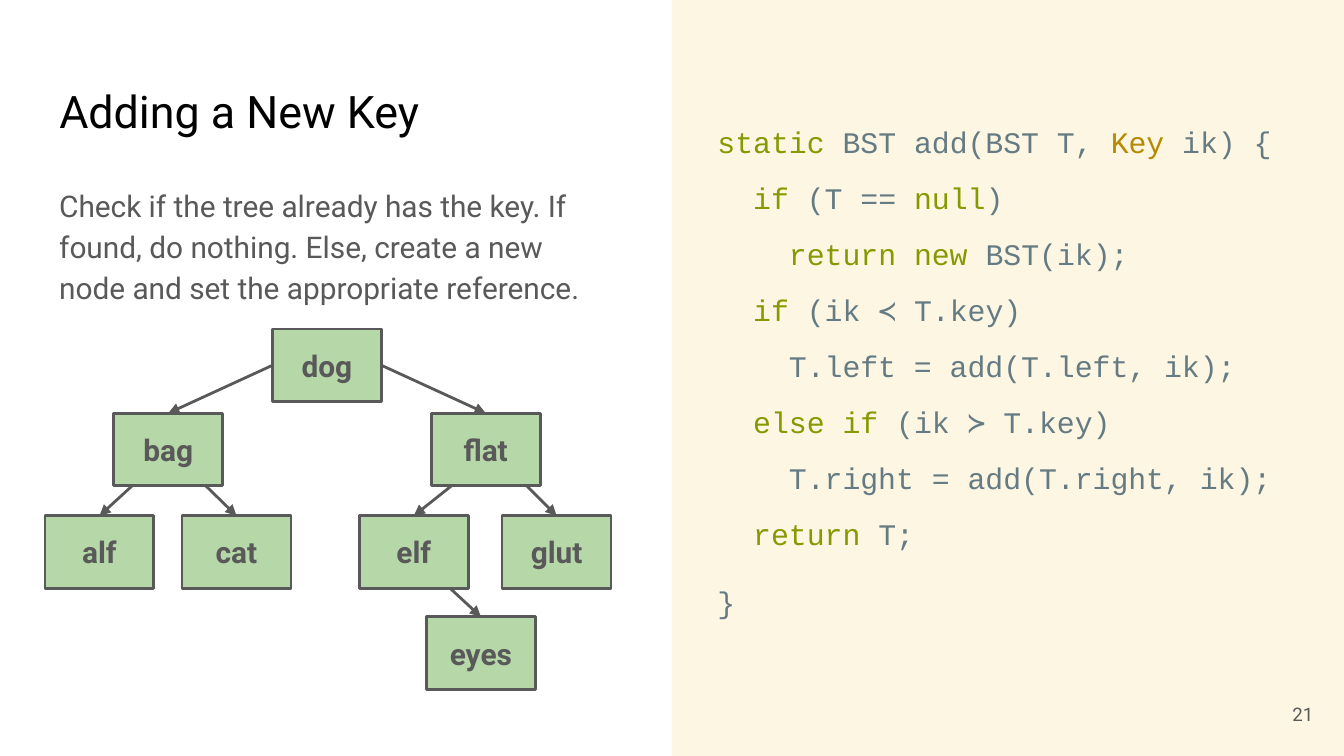
import collections
import dataclasses

import lxml.etree
import pptx
import pptx.dml.color
import pptx.enum.shapes
import pptx.enum.text
import pptx.oxml.ns
import pptx.util

Cm = pptx.util.Cm
Pt = pptx.util.Pt
Align = pptx.enum.text.PP_ALIGN
Anchor = pptx.enum.text.MSO_ANCHOR
Box = collections.namedtuple("Box", "left top width height")


@dataclasses.dataclass(frozen=True)
class Theme:
    sans: str = "Roboto"
    mono: str = "Courier New"
    title: str = "000000"
    text: str = "595959"
    node: str = "B6D7A8"
    panel: str = "FDF6E3"
    code: str = "657B83"
    keyword: str = "859900"
    type_name: str = "B58900"
    title_size: int = 24
    body_size: int = 16
    number_size: int = 10
    line_width: float = 1.5


THEME = Theme()
TOKEN_COLORS = {
    **dict.fromkeys(["static", "if", "null", "return new", "else if", "return"], THEME.keyword),
    "Key": THEME.type_name,
}
CODE = [
    "|static| BST add(BST T, |Key| ik) {",
    "  |if| (T == |null|)",
    "    |return new| BST(ik);",
    "  |if| (ik ≺ T.key)",
    "    T.left = add(T.left, ik);",
    "  |else if| (ik ≻ T.key)",
    "    T.right = add(T.right, ik);",
    "  |return| T;",
    "}",
]
NODE_WIDTH, NODE_HEIGHT = 2.06, 1.37
NODES = {
    "dog": (4.3, 0),
    "bag": (1.3, 1.59),
    "flat": (7.3, 1.59),
    "alf": (0, 3.53),
    "cat": (2.59, 3.53),
    "elf": (5.94, 3.53),
    "glut": (8.64, 3.53),
    "eyes": (7.21, 5.44),
}
SIDE_EDGES = [("dog", "bag", 1), ("dog", "flat", 3)]
INNER_EDGES = [
    ("bag", "alf", -0.46),
    ("bag", "cat", 0.5),
    ("flat", "elf", -0.39),
    ("flat", "glut", 0.57),
    ("elf", "eyes", 0.47),
]
INNER_DROP = 1.17


def rgb(value):
    return pptx.dml.color.RGBColor.from_string(value)


def write_text(para, text, *, size=THEME.body_size, color=THEME.text, font=THEME.sans, bold=False):
    span = para.add_run()
    span.text = text
    span.font.size = Pt(size)
    span.font.name = font
    span.font.bold = bold
    span.font.color.rgb = rgb(color)


def prepare_frame(frame, anchor, side=0.25):
    frame.word_wrap = True
    frame.auto_size = pptx.enum.text.MSO_AUTO_SIZE.NONE
    frame.vertical_anchor = anchor
    frame.margin_left = frame.margin_right = Cm(side)
    frame.margin_top = frame.margin_bottom = Cm(0.25)
    return frame.paragraphs[0]


def lengths(box):
    return [Cm(value) for value in box]


def add_rectangle(page, box, fill):
    shape = page.shapes.add_shape(pptx.enum.shapes.MSO_SHAPE.RECTANGLE, *lengths(box))
    shape.shadow.inherit = False
    shape.fill.solid()
    shape.fill.fore_color.rgb = rgb(fill)
    return shape


def add_title(page, box):
    title = page.shapes.title
    title.left, title.top, title.width, title.height = lengths(box)
    para = prepare_frame(title.text_frame, Anchor.BOTTOM)
    para.alignment = Align.LEFT
    write_text(para, "Adding a New Key", size=THEME.title_size, color=THEME.title)


def add_summary(page, box):
    para = prepare_frame(page.shapes.add_textbox(*lengths(box)).text_frame, Anchor.TOP)
    para.line_spacing = 1.15
    para.space_after = Pt(8)
    write_text(para, "Check if the tree already has the key. If found, do nothing. "
                     "Else, create a new node and set the appropriate reference.")


def add_code(page, box):
    frame = page.shapes.add_textbox(*lengths(box)).text_frame
    para = prepare_frame(frame, Anchor.MIDDLE, side=0)
    for index, line in enumerate(CODE):
        if index:
            para = frame.add_paragraph()
            para.space_before = Pt(8)
        para.line_spacing = 1.48 if line == "}" else 1.15
        for token in filter(None, line.split("|")):
            write_text(para, token, font=THEME.mono, color=TOKEN_COLORS.get(token, THEME.code))


def add_page_number(page, box):
    para = prepare_frame(page.shapes.add_textbox(*lengths(box)).text_frame, Anchor.MIDDLE)
    para.alignment = Align.RIGHT
    write_text(para, "21", size=THEME.number_size)


def add_node(page, box, label):
    node = add_rectangle(page, box, THEME.node)
    node.line.color.rgb = rgb(THEME.text)
    node.line.width = Pt(THEME.line_width)
    para = prepare_frame(node.text_frame, Anchor.MIDDLE)
    para.alignment = Align.CENTER
    write_text(para, label, bold=True)
    return node


def add_arrow(page, child, start=(0, 0)):
    arrow = page.shapes.add_connector(pptx.enum.shapes.MSO_CONNECTOR.STRAIGHT, *start, 0, 0)
    arrow.end_connect(child, 0)
    arrow.line.color.rgb = rgb(THEME.text)
    arrow.line.width = Pt(THEME.line_width)
    qn = pptx.oxml.ns.qn
    lxml.etree.SubElement(arrow.line._get_or_add_ln(), qn("a:tailEnd"), type="triangle")
    lxml.etree.SubElement(arrow.element.spPr, qn("a:effectLst"))
    return arrow


def add_tree(page, box):
    nodes = {
        label: add_node(page, Box(box.left + x, box.top + y, NODE_WIDTH, NODE_HEIGHT), label)
        for label, (x, y) in NODES.items()
    }
    arrows = []
    for parent, child, side in SIDE_EDGES:
        arrow = add_arrow(page, nodes[child])
        arrow.begin_connect(nodes[parent], side)
        arrows.append(arrow)
    for parent, child, shift in INNER_EDGES:
        x, y = NODES[parent]
        start = Cm(box.left + x + NODE_WIDTH / 2 + shift), Cm(box.top + y + INNER_DROP)
        arrows.append(add_arrow(page, nodes[child], start))
    for arrow in arrows:
        nodes["dog"].element.addprevious(arrow.element)


def main():
    deck = pptx.Presentation()
    deck.slide_width, deck.slide_height = Cm(25.4), Cm(14.29)
    page = deck.slides.add_slide(deck.slide_layouts[5])
    panel = add_rectangle(page, Box(12.7, 0, 12.7, 14.29), THEME.panel)
    panel.line.fill.background()
    add_title(page, Box(0.87, 1.24, 10.97, 1.6))
    add_summary(page, Box(0.87, 3.2, 10.67, 2.67))
    add_code(page, Box(13.56, 1.24, 10.97, 11.46))
    add_page_number(page, Box(23.55, 12.95, 1.52, 1.09))
    add_tree(page, Box(0.85, 6.22, 10.7, 6.81))
    deck.save("out.pptx")


if __name__ == "__main__":
    main()
